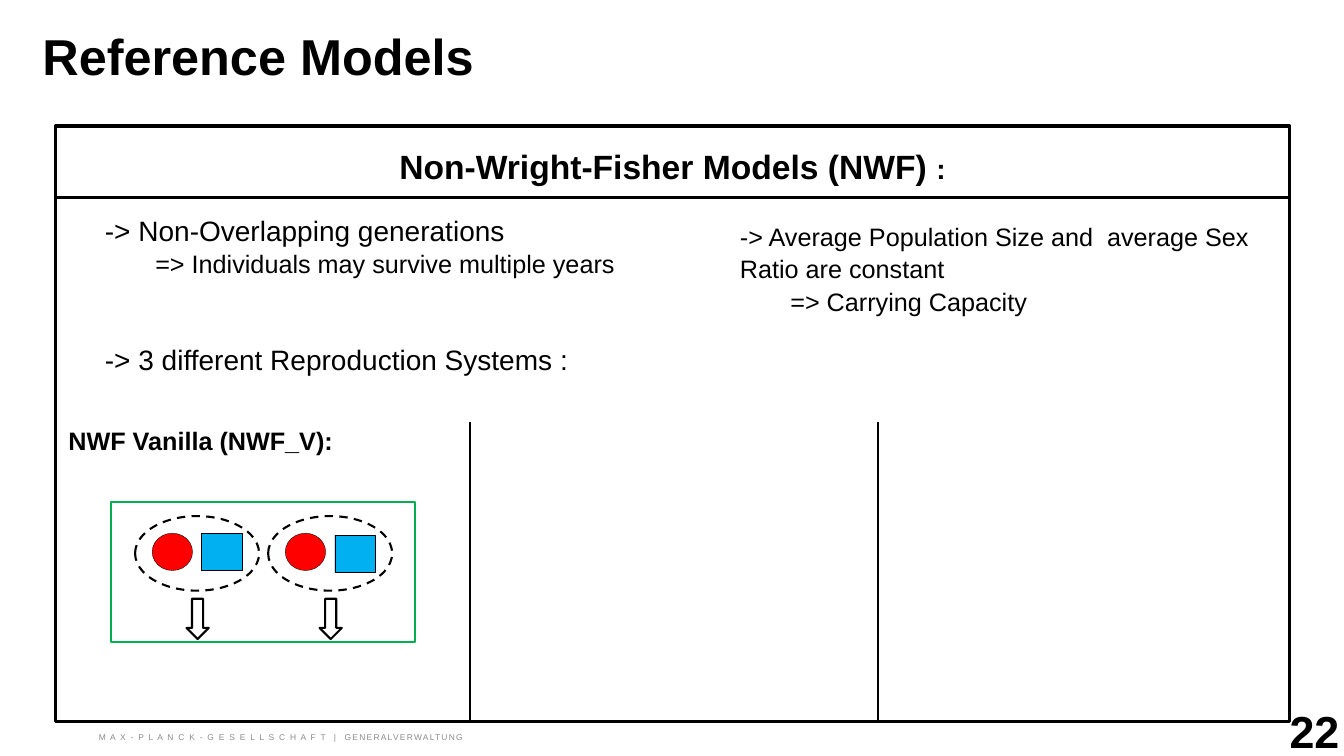
"""Build the Reference Models slide."""
from lxml import etree
from pptx import Presentation
from pptx.dml.color import RGBColor
from pptx.enum.dml import MSO_LINE
from pptx.enum.shapes import MSO_CONNECTOR, MSO_SHAPE
from pptx.enum.text import MSO_ANCHOR, PP_ALIGN
from pptx.oxml.ns import qn
from pptx.util import Inches, Pt

BLACK = RGBColor(0x00, 0x00, 0x00)
GRAY = RGBColor(0x8C, 0x8C, 0x8C)
RED = RGBColor(0xFF, 0x00, 0x00)
BLUE = RGBColor(0x00, 0xB0, 0xF0)
GREEN = RGBColor(0x00, 0xB0, 0x50)
RECTANGLE = MSO_SHAPE.RECTANGLE
OVAL = MSO_SHAPE.OVAL
DOWN_ARROW = MSO_SHAPE.DOWN_ARROW
STRAIGHT = MSO_CONNECTOR.STRAIGHT
DASH = MSO_LINE.DASH
LEFT, CENTER = PP_ALIGN.LEFT, PP_ALIGN.CENTER
TOP, BOTTOM = MSO_ANCHOR.TOP, MSO_ANCHOR.BOTTOM
FONT = "Arial"
TITLE_ONLY = 5

FRAME_LEFT, FRAME_TOP, FRAME_WIDTH, FRAME_HEIGHT = 0.55, 1.25, 12.24, 5.91
FRAME_BOTTOM = FRAME_TOP + FRAME_HEIGHT
COLUMN_TOP = 4.19
TEXT_LEADING = Pt(23)


def add_run(paragraph, text, size, bold=False, color=BLACK):
    """Append a formatted run and return it."""
    run = paragraph.add_run()
    run.text = text
    run.font.name = FONT
    run.font.size = Pt(size)
    run.font.bold = bold
    run.font.color.rgb = color
    return run


def format_frame(frame, inset_x=0, inset_y=0, anchor=TOP):
    """Set wrapping, insets and anchor of a text frame."""
    frame.word_wrap = True
    frame.margin_left = frame.margin_right = Inches(inset_x)
    frame.margin_top = frame.margin_bottom = Inches(inset_y)
    frame.vertical_anchor = anchor


def add_text_box(slide, box, inset_x=0, inset_y=0, anchor=TOP):
    """Add a text box and return its text frame."""
    frame = slide.shapes.add_textbox(*map(Inches, box)).text_frame
    format_frame(frame, inset_x, inset_y, anchor)
    return frame


def format_paragraph(paragraph, spacing=None, before=0, align=LEFT):
    """Set line spacing, space before and alignment."""
    paragraph.line_spacing = spacing
    paragraph.space_before = Pt(before)
    paragraph.alignment = align


def add_tab_stop(paragraph, position):
    """Give a paragraph one left tab stop."""
    properties = paragraph._p.get_or_add_pPr()
    tabs = etree.SubElement(properties, qn("a:tabLst"))
    etree.SubElement(tabs, qn("a:tab"), pos=str(Inches(position)), algn="l")


def add_point(paragraph, text, size, consequence=None):
    """Write a point and its indented consequence on the next line."""
    format_paragraph(paragraph, TEXT_LEADING)
    add_tab_stop(paragraph, 0.5)
    add_run(paragraph, text, size)
    if consequence:
        paragraph.add_line_break()
        add_run(paragraph, "\t" + consequence, 18)


def add_outline(slide, kind, box, width, color=BLACK, fill=None, dash=None):
    """Add a preset shape with an outline and an optional fill."""
    shape = slide.shapes.add_shape(kind, *map(Inches, box))
    shape.shadow.inherit = False
    if fill is None:
        shape.fill.background()
    else:
        shape.fill.solid()
        shape.fill.fore_color.rgb = fill
    shape.line.color.rgb = color
    shape.line.width = Pt(width)
    if dash is not None:
        shape.line.dash_style = dash


def add_column_line(slide, x):
    """Add a vertical divider down to the frame's lower edge."""
    line = slide.shapes.add_connector(
        STRAIGHT, Inches(x), Inches(FRAME_BOTTOM), Inches(x), Inches(COLUMN_TOP))
    line.line.color.rgb = BLACK
    line.line.width = Pt(1.5)
    etree.SubElement(line._element.spPr, qn("a:effectLst"))


def add_couple(slide, left, square_top):
    """Draw a dashed couple of circle and square with its arrow."""
    add_outline(slide, OVAL, (left + 0.17, 5.29, 0.4, 0.37), 0.25, fill=RED)
    add_outline(slide, RECTANGLE, (left + 0.66, square_top, 0.4, 0.37), 0.25, fill=BLUE)
    add_outline(slide, OVAL, (left, 5.12, 1.23, 0.74), 1.5, dash=DASH)
    add_outline(slide, DOWN_ARROW, (left + 0.51, 5.94, 0.22, 0.4), 1.5)


def add_title(slide, text):
    """Place and format the title placeholder."""
    title = slide.shapes.title
    title.left, title.top, title.width, title.height = map(Inches, (0.42, 0.25, 7.88, 0.61))
    format_frame(title.text_frame)
    paragraph = title.text_frame.paragraphs[0]
    format_paragraph(paragraph)
    add_run(paragraph, text, 36, True)


def add_footer(slide):
    """Add the organisation line and the page number."""
    footer = add_text_box(slide, (0.98, 7.16, 11.26, 0.2), anchor=BOTTOM)
    run = add_run(footer.paragraphs[0],
                  "M A X - P L A N C K - G E S E L L S C H A F T  |  GENERALVERWALTUNG",
                  6, color=GRAY)
    run._r.get_or_add_rPr().set("spc", "90")
    number = add_text_box(slide, (12.79, 6.98, 0.55, 0.54))
    add_run(number.paragraphs[0], "22", 32, True)


def add_heading(slide):
    """Add the model heading at the top of the frame."""
    frame = add_text_box(slide, (FRAME_LEFT, FRAME_TOP, FRAME_WIDTH, 0.53))
    paragraph = frame.paragraphs[0]
    format_paragraph(paragraph, 1.5, align=CENTER)
    add_run(paragraph, "Non-Wright-Fisher Models (NWF) ", 24, True)
    add_run(paragraph, ":", 20, True)


def add_assumptions(slide):
    """Add the model assumptions and the first system's label."""
    generations = add_text_box(slide, (1.04, 2.13, 5.21, 1.63))
    add_point(generations.paragraphs[0], "-> Non-Overlapping generations ", 20,
              "=> Individuals may survive multiple years")
    systems = generations.add_paragraph()
    add_point(systems, "-> 3 different Reproduction Systems :", 20)
    systems.space_before = Pt(46)

    population = add_text_box(slide, (7.24, 2.13, 5.45, 1.05), 0.1, 0.05)
    add_point(population.paragraphs[0],
              "-> Average Population Size and  average Sex Ratio are constant", 18,
              "=> Carrying Capacity")

    label = add_text_box(slide, (0.58, 4.15, 4.08, 0.4), 0.1, 0.05).paragraphs[0]
    format_paragraph(label, TEXT_LEADING)
    add_run(label, "NWF Vanilla (NWF_V):", 18, True)


def main():
    """Build and save the slide."""
    presentation = Presentation()
    presentation.slide_width = Inches(13.33)
    presentation.slide_height = Inches(7.5)
    slide = presentation.slides.add_slide(presentation.slide_layouts[TITLE_ONLY])
    add_title(slide, "Reference Models")
    add_outline(slide, RECTANGLE, (FRAME_LEFT, FRAME_TOP, FRAME_WIDTH, 0.71), 1.5)
    add_footer(slide)
    add_outline(slide, RECTANGLE, (FRAME_LEFT, FRAME_TOP, FRAME_WIDTH, FRAME_HEIGHT), 2.25)
    add_heading(slide)
    for x in (4.66, 8.71):
        add_column_line(slide, x)
    add_assumptions(slide)
    for left, square_top in ((1.34, 5.29), (2.66, 5.31)):
        add_couple(slide, left, square_top)
    add_outline(slide, RECTANGLE, (1.1, 4.98, 3.02, 1.39), 1.5, GREEN)
    presentation.save("out.pptx")


if __name__ == "__main__":
    main()
